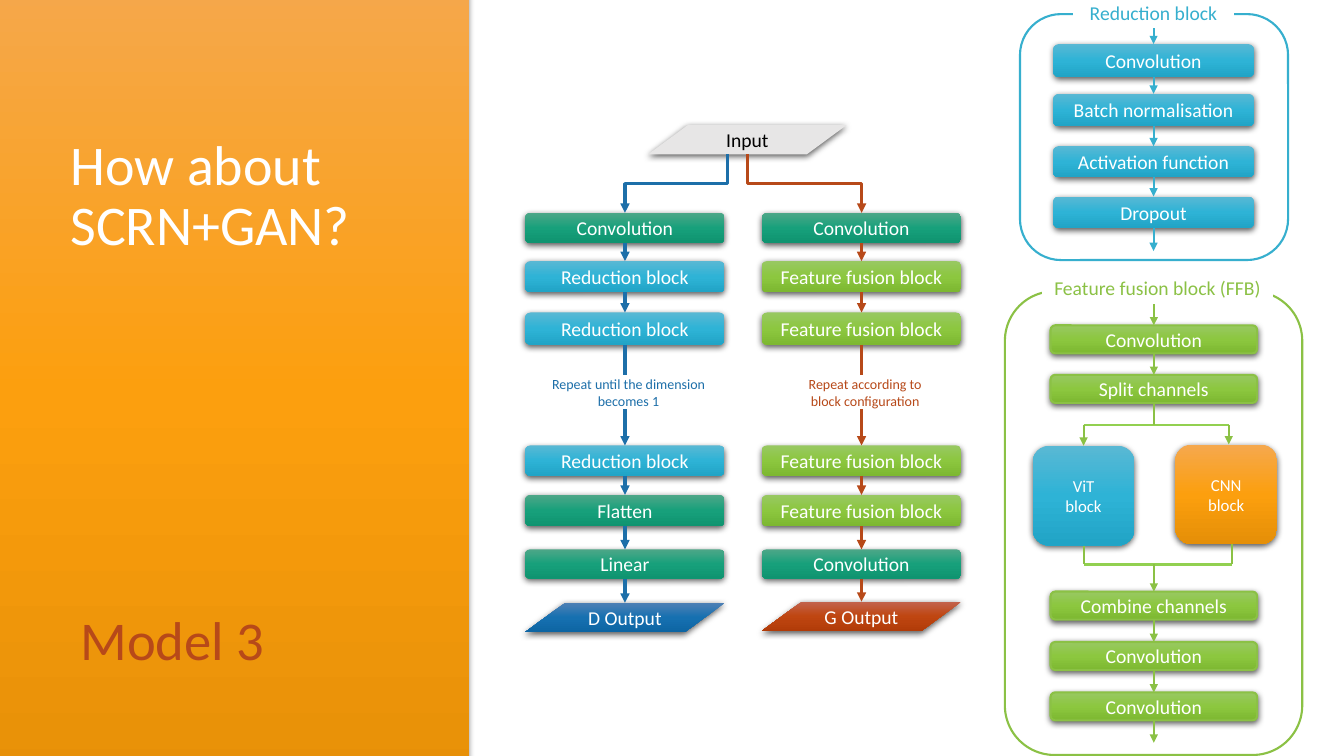
from dataclasses import dataclass
from itertools import pairwise

from lxml import etree
from pptx import Presentation
from pptx.dml.color import RGBColor
from pptx.enum.shapes import MSO_CONNECTOR, MSO_SHAPE
from pptx.enum.text import MSO_ANCHOR, PP_ALIGN
from pptx.oxml.ns import qn
from pptx.shapes.autoshape import Shape
from pptx.shapes.connector import Connector
from pptx.slide import Slide
from pptx.util import Pt

ROUNDED, RECTANGLE = MSO_SHAPE.ROUNDED_RECTANGLE, MSO_SHAPE.RECTANGLE
DATA = MSO_SHAPE.FLOWCHART_DATA
STRAIGHT, ELBOW = MSO_CONNECTOR.STRAIGHT, MSO_CONNECTOR.ELBOW
MIDDLE, CENTER, LEFT = MSO_ANCHOR.MIDDLE, PP_ALIGN.CENTER, PP_ALIGN.LEFT
TOP_SITE, BOTTOM_SITE = 0, 2
DOWN = "5400000"

WHITE, BLACK, GREY = "FFFFFF", "000000", "E7E6E6"
BLUE, RUST, CYAN, LIME, BAR = "1D6FA9", "B74919", "36AFCE", "8BC145", "92D050"
ORANGE_FILL = ("F5A84E", "FC9F0E", "E58F07")
CYAN_FILL = ("59B8D4", "2EB3D6", "21A4C6")
TEAL_FILL = ("4EA788", "17A07B", "0F9470")
LIME_FILL = ("98C862", "8CC73F", "7DB831")
BLUE_FILL = ("4E80B5", "1670B0", "0D65A3")
RUST_FILL = ("C2634D", "BF4611", "B13B08")

Point = tuple[float, float]
Bounds = tuple[float, float, float, float]
Gradient = tuple[str, str, str]


@dataclass
class Step:
    text: str
    top: float
    height: float
    fill: Gradient


@dataclass
class Branch:
    left: float
    color: str
    steps: list[Step]
    note: str
    output: str
    output_top: float
    output_fill: Gradient
    input_x: float


def rgb(color: str) -> RGBColor:
    return RGBColor.from_string(color)


def write(shape: Shape, text: str, size: float, color: str,
          align: PP_ALIGN = CENTER, **spacing: float) -> None:
    frame = shape.text_frame
    frame.word_wrap = True
    frame.vertical_anchor = MIDDLE
    for index, line in enumerate(text.split("\n")):
        para = frame.add_paragraph() if index else frame.paragraphs[0]
        para.alignment = align
        for name, value in spacing.items():
            setattr(para, name, value)
        span = para.add_run()
        span.text = line
        for name, value in {"name": "Calibri", "size": Pt(size)}.items():
            setattr(span.font, name, value)
        span.font.color.rgb = rgb(color)


def add_color(parent: etree._Element, color: str) -> etree._Element:
    return etree.SubElement(parent, qn("a:srgbClr"), val=color)


def paint_gradient(shape: Shape, colors: Gradient) -> None:
    shape.fill.background()
    properties = shape.element.spPr
    gradient = etree.Element(qn("a:gradFill"), rotWithShape="1")
    stops = etree.SubElement(gradient, qn("a:gsLst"))
    for index, color in enumerate(colors):
        add_color(etree.SubElement(stops, qn("a:gs"), pos=str(index * 50000)), color)
    etree.SubElement(gradient, qn("a:lin"), ang=DOWN, scaled="0")
    properties.replace(properties.find(qn("a:noFill")), gradient)


def cast_shadow(shape: Shape) -> None:
    effects = shape.element.spPr.find(qn("a:effectLst"))
    shadow = etree.SubElement(effects, qn("a:outerShdw"), blurRad=str(Pt(4.5)),
                              dist=str(Pt(1.5)), dir=DOWN, rotWithShape="0")
    etree.SubElement(add_color(shadow, BLACK), qn("a:alpha"), val="63000")


def add_box(page: Slide, kind: MSO_SHAPE, bounds: Bounds, fill: Gradient | str | None,
            line: str | None = None, width: float = 1.5, shadow: bool = False) -> Shape:
    box = page.shapes.add_shape(kind, *map(Pt, bounds))
    box.shadow.inherit = False
    if line:
        box.line.color.rgb = rgb(line)
        box.line.width = Pt(width)
    else:
        box.line.fill.background()
    if fill is None:
        box.fill.background()
    elif isinstance(fill, str):
        box.fill.solid()
        box.fill.fore_color.rgb = rgb(fill)
    else:
        paint_gradient(box, fill)
    if shadow:
        cast_shadow(box)
    return box


def add_label(page: Slide, bounds: Bounds, text: str, size: float, color: str,
              **spacing: float) -> Shape:
    label = add_box(page, RECTANGLE, bounds, WHITE, WHITE)
    write(label, text, size, color, **spacing)
    return label


def style_wire(wire: Connector, color: str, width: float, arrow: bool) -> None:
    wire.line.color.rgb = rgb(color)
    wire.line.width = Pt(width)
    if arrow:
        etree.SubElement(wire.line._get_or_add_ln(), qn("a:tailEnd"), type="triangle")
    etree.SubElement(wire.element.spPr, qn("a:effectLst"))


def add_wire(page: Slide, start: Shape | Point, end: Shape | Point, color: str,
             width: float = 1.5, arrow: bool = True) -> None:
    """Run a line from a box's bottom or a point to a box's top or a point."""
    first = (0, 0) if isinstance(start, Shape) else start
    last = (0, 0) if isinstance(end, Shape) else end
    wire = page.shapes.add_connector(STRAIGHT, *map(Pt, (*first, *last)))
    if isinstance(start, Shape):
        wire.begin_connect(start, BOTTOM_SITE)
    if isinstance(end, Shape):
        wire.end_connect(end, TOP_SITE)
    style_wire(wire, color, width, arrow)


def add_elbow(page: Slide, start: Point, end: Point, color: str) -> None:
    """Run a down-across-down arrow, as a quarter-turned elbow connector."""
    center_x, center_y = (start[0] + end[0]) / 2, (start[1] + end[1]) / 2
    run, drop = abs(end[0] - start[0]) / 2, (end[1] - start[1]) / 2
    side = 1 if end[0] > start[0] else -1
    wire = page.shapes.add_connector(
        ELBOW, Pt(center_x + side * drop), Pt(center_y - run),
        Pt(center_x - side * drop), Pt(center_y + run))
    wire.element.spPr.xfrm.set("rot", "16200000" if side > 0 else DOWN)
    style_wire(wire, color, 2.25, True)


def add_steps(page: Slide, steps: list[Step], left: float, width: float,
              line: str | None = None) -> list[Shape]:
    boxes = []
    for step in steps:
        box = add_box(page, ROUNDED, (left, step.top, width, step.height),
                      step.fill, line, shadow=True)
        write(box, step.text, 14, WHITE)
        boxes.append(box)
    return boxes


def add_branch(page: Slide, branch: Branch) -> None:
    width, center = 142.4, branch.left + 71.2
    boxes = add_steps(page, branch.steps, branch.left, width)
    output = add_box(page, DATA, (branch.left, branch.output_top, width, 20.9),
                     branch.output_fill, shadow=True)
    write(output, branch.output, 14, WHITE)
    for upper, lower in pairwise([*boxes, (center, branch.output_top)]):
        add_wire(page, upper, lower, branch.color, 2.25)
    add_label(page, (branch.left + 9.3, 268.6, 128.9, 23), branch.note, 10, branch.color)
    add_elbow(page, (branch.input_x, 110.2), (center, branch.steps[0].top), branch.color)


def add_reduction_block(page: Slide) -> None:
    steps = [Step("Convolution", 31.5, 23.5, CYAN_FILL),
             Step("Batch normalisation", 67, 23.3, CYAN_FILL),
             Step("Activation function", 104.4, 22.3, CYAN_FILL),
             Step("Dropout", 140.4, 22.3, CYAN_FILL)]
    boxes = add_steps(page, steps, 752.4, 143.2)
    add_box(page, ROUNDED, (728.6, 10.1, 191.5, 175.7), None, CYAN)
    label = add_label(page, (767.5, -1.4, 113, 21.6), "Reduction block", 14, CYAN)
    for upper, lower in pairwise([label, *boxes, (824, 179.3)]):
        add_wire(page, upper, lower, CYAN)


def add_fusion_block(page: Slide) -> None:
    names = ["Convolution", "Split channels", "Combine channels", "Convolution", "Convolution"]
    tops = [232.4, 267.8, 422.6, 458.6, 494.6]
    steps = [Step(name, top, 20, LIME_FILL) for name, top in zip(names, tops)]
    first, split, combine, *rest = add_steps(page, steps, 750.4, 147.6, LIME)
    add_box(page, ROUNDED, (717.8, 208.1, 212.4, 331.2), None, LIME)
    add_label(page, (745.2, 192.2, 163.4, 21.6), "Feature fusion block (FFB)", 14, LIME,
              line_spacing=Pt(21.6))
    vit = add_box(page, ROUNDED, (737.6, 318.4, 72.8, 71.3), CYAN_FILL, shadow=True)
    cnn = add_box(page, ROUNDED, (839.5, 317.5, 72.8, 71.3), ORANGE_FILL, shadow=True)
    write(vit, "ViT\nblock", 12, WHITE)
    write(cnn, "CNN\nblock", 12, WHITE)

    stem, vit_x, cnn_in, cnn_out, fork, merge = 824.2, 774, 877.7, 879.8, 303.8, 403.2
    add_wire(page, (vit_x, fork), (cnn_in, fork), BAR, arrow=False)
    add_wire(page, (vit_x, merge), (cnn_out, merge), BAR, arrow=False)
    for start, end in [(split, (stem, fork)), (vit, (vit_x, merge)),
                       ((cnn_out, 388.8), (cnn_out, merge))]:
        add_wire(page, start, end, LIME, arrow=False)
    for start, end in [((stem, 217.4), first), (first, split), ((vit_x, fork), vit),
                       ((cnn_in, fork), (cnn_in, 317.5)), ((stem, merge), combine),
                       *pairwise([combine, *rest, (stem, 530.6)])]:
        add_wire(page, start, end, LIME)


def add_heading(page: Slide) -> None:
    add_box(page, RECTANGLE, (-17.3, -24.5, 352, 610), ORANGE_FILL, shadow=True)
    title = page.shapes.add_textbox(*map(Pt, (43.2, 58.3, 269.3, 253.4)))
    title.text_frame.margin_bottom = Pt(91.6)
    write(title, "How about SCRN+GAN?", 40, WHITE, LEFT, line_spacing=0.9)
    model = page.shapes.add_textbox(*map(Pt, (50.4, 406.8, 269.3, 104.4)))
    write(model, "Model 3", 39, RUST, LEFT, line_spacing=0.9)


def branch_steps(names: list[str]) -> list[Step]:
    fills = {"Reduction block": CYAN_FILL, "Feature fusion block": LIME_FILL}
    tops = [152, 186.5, 223.2, 318.2, 353.5, 392.4]
    heights = [21.6, 22.3, 23, 21.6, 22.3, 20.9]
    return [Step(name, top, height, fills.get(name, TEAL_FILL))
            for name, top, height in zip(names, tops, heights)]


def main() -> None:
    deck = Presentation()
    deck.slide_width, deck.slide_height = Pt(960), Pt(540)
    page = deck.slides.add_slide(deck.slide_layouts[6])
    add_heading(page)
    source = add_box(page, DATA, (463, 89.3, 141.8, 20.9), GREY, shadow=True)
    write(source, "Input", 14, BLACK)
    reduction, fusion = "Reduction block", "Feature fusion block"
    add_branch(page, Branch(
        375.2, BLUE,
        branch_steps(["Convolution", *[reduction] * 3, "Flatten", "Linear"]),
        "Repeat until the dimension becomes 1", "D Output", 430.6, BLUE_FILL, 519.8))
    add_branch(page, Branch(
        544.2, RUST, branch_steps(["Convolution", *[fusion] * 4, "Convolution"]),
        "Repeat according to\nblock configuration", "G Output", 429.8, RUST_FILL, 534.2))
    add_reduction_block(page)
    add_fusion_block(page)
    deck.save("out.pptx")


if __name__ == "__main__":
    main()
